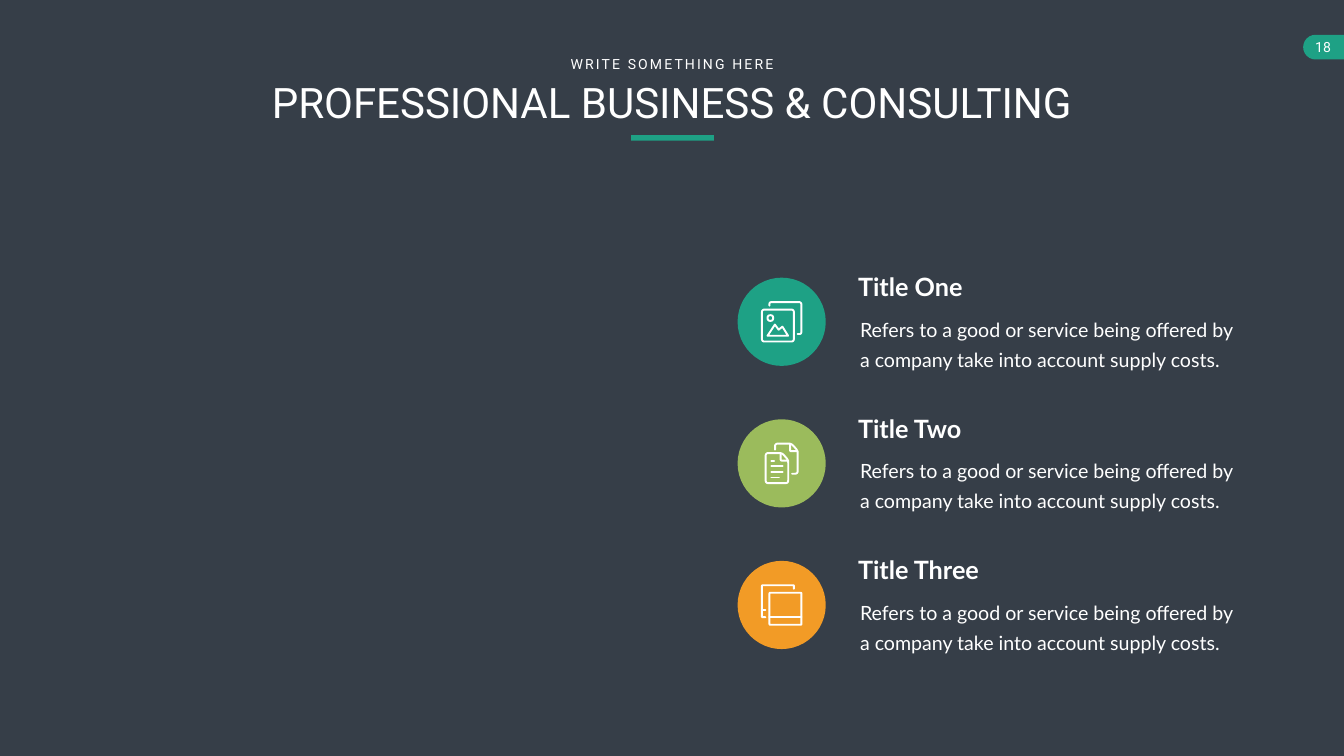
from dataclasses import dataclass

import pptx
import pptx.dml.color
import pptx.enum.shapes
import pptx.enum.text
import pptx.util
from lxml import etree

RGB = pptx.dml.color.RGBColor
SLATE = RGB(0x36, 0x3E, 0x48)
TEAL = RGB(0x1E, 0xA1, 0x85)
GREEN = RGB(0x9B, 0xBB, 0x5C)
ORANGE = RGB(0xF2, 0x9B, 0x26)
WHITE = RGB(0xFF, 0xFF, 0xFF)

SHAPE = pptx.enum.shapes.MSO_SHAPE
ALIGN = pptx.enum.text.PP_ALIGN
WIDTH, HEIGHT = pptx.util.Inches(26.66), pptx.util.Inches(15)
ROW_TOP, ROW_PITCH = 36.73, 18.73
ICON_UNIT = 0.14  # percent of the slide width
BODY = "Refers to a good or service being offered by a company take into account supply costs."


@dataclass(frozen=True)
class Box:
    """Left and width in percent of slide width, top and height in percent of its height."""
    left: float
    top: float
    width: float
    height: float

    def emu(self) -> tuple[int, int, int, int]:
        return (int(self.left * WIDTH / 100), int(self.top * HEIGHT / 100),
                int(self.width * WIDTH / 100), int(self.height * HEIGHT / 100))


@dataclass(frozen=True)
class Stroke:
    """A line through icon grid points, with corners rounded by radius."""
    points: tuple[tuple[float, float], ...]
    closed: bool = False
    radius: float = 0


@dataclass(frozen=True)
class Icon:
    width: float
    height: float
    strokes: tuple[Stroke, ...]


@dataclass(frozen=True)
class Item:
    title: str
    color: RGB
    icon: Icon


def rectangle(x1: float, y1: float, x2: float, y2: float, radius: float) -> Stroke:
    return Stroke(((x1, y1), (x2, y1), (x2, y2), (x1, y2)), True, radius)


def bar(x1: float, x2: float, y: float) -> Stroke:
    return Stroke(((x1, y), (x2, y)))


PICTURES = Icon(22, 22, (
    Stroke(((4.5, 2.4), (4.5, 0.5), (21.5, 0.5), (21.5, 17.5), (19.5, 17.5)), radius=1.5),
    rectangle(0.5, 4.5, 17.5, 21.5, 1.5),
    rectangle(3.5, 7.5, 6.5, 10.5, 1.5),
    Stroke(((3.5, 18.4), (7.4, 12.5), (9.4, 15.2), (11.4, 13.6), (14.4, 18.4)), True),
))
DOCUMENTS = Icon(18, 22, (
    Stroke(((0.5, 5.5), (9.2, 5.5), (12.5, 9.2), (12.5, 21.5), (0.5, 21.5)), True, 1.5),
    Stroke(((8.5, 5.5), (8.5, 9.5), (12.5, 9.5)), radius=0.5),
    Stroke(((5.5, 3.7), (5.5, 0.5), (14.2, 0.5), (17.5, 4.2), (17.5, 16.5), (14.5, 16.5)),
           radius=1.5),
    Stroke(((13.5, 0.5), (13.5, 4.5), (17.5, 4.5)), radius=0.5),
    bar(3.5, 5, 9.5), bar(3.5, 9.5, 12.5), bar(3.5, 9.5, 15.5), bar(3.5, 7.5, 18.5),
))
WINDOWS = Icon(22, 22, (
    Stroke(((2.4, 17.5), (0.5, 17.5), (0.5, 0.5), (17.5, 0.5), (17.5, 2.4)), radius=0.5),
    bar(0.5, 2.4, 13.5),
    rectangle(4.5, 4.5, 21.5, 21.5, 0.5),
    bar(4.5, 21.5, 17.5),
))
ITEMS = (Item("Title One", TEAL, PICTURES),
         Item("Title Two", GREEN, DOCUMENTS),
         Item("Title Three", ORANGE, WINDOWS))


def add_filled(slide, kind, box: Box, color: RGB, rotation: float = 0):
    sp = slide.shapes.add_shape(kind, *box.emu())
    sp.shadow.inherit = False
    sp.fill.solid()
    sp.fill.fore_color.rgb = color
    sp.line.fill.background()
    sp.rotation = rotation
    return sp


def add_text(slide, text: str, box: Box, *, size: float, font: str, bold: bool = False,
             align=ALIGN.LEFT, wrap: bool = True, inset: float = 0.1,
             line_pt: float = 0, tracking: float = 0):
    sp = slide.shapes.add_textbox(*box.emu())
    tf = sp.text_frame
    tf.word_wrap = wrap
    tf.margin_left = tf.margin_right = pptx.util.Inches(inset)
    tf.margin_top = tf.margin_bottom = pptx.util.Inches(inset / 2)
    p = tf.paragraphs[0]
    p.alignment = align
    if line_pt:
        p.line_spacing = pptx.util.Pt(line_pt)
    r = p.add_run()
    r.text = text
    r.font.size = pptx.util.Pt(size)
    r.font.name = font
    r.font.bold = bold
    r.font.color.rgb = WHITE
    if tracking:
        r._r.get_or_add_rPr().set("spc", str(int(tracking * 100)))
    return sp


def rounded(stroke: Stroke, steps: int = 6) -> list[tuple[float, float]]:
    """Replace each corner by points on a quadratic curve."""
    pts = stroke.points
    out = []
    for i, (x, y) in enumerate(pts):
        is_end = not stroke.closed and i in (0, len(pts) - 1)
        if is_end or not stroke.radius:
            out.append((x, y))
            continue
        ends = []
        for nx, ny in (pts[i - 1], pts[(i + 1) % len(pts)]):
            length = ((nx - x) ** 2 + (ny - y) ** 2) ** 0.5
            share = min(stroke.radius / length, 0.5)
            ends.append((x + (nx - x) * share, y + (ny - y) * share))
        (ax, ay), (bx, by) = ends
        for t in (k / steps for k in range(steps + 1)):
            a, c, b = (1 - t) ** 2, 2 * t * (1 - t), t * t
            out.append((a * ax + c * x + b * bx, a * ay + c * y + b * by))
    return out


def add_icon(slide, icon: Icon, center_x: float, center_y: float):
    """Draw all strokes of an icon as one outline centred on a point in EMU."""
    unit = ICON_UNIT * WIDTH / 100
    left, top = center_x - icon.width * unit / 2, center_y - icon.height * unit / 2
    builder = None
    for stroke in icon.strokes:
        first, *rest = [(left + x * unit, top + y * unit) for x, y in rounded(stroke)]
        if builder is None:
            builder = slide.shapes.build_freeform(*first)
        else:
            builder.move_to(*first)
        builder.add_line_segments(rest, close=stroke.closed)
    sp = builder.convert_to_shape()
    sp.shadow.inherit = False
    sp.fill.background()
    sp.line.color.rgb = WHITE
    sp.line.width = pptx.util.Pt(2.75)
    ln = sp.line._get_or_add_ln()
    ln.set("cap", "rnd")
    etree.SubElement(ln, pptx.oxml.ns.qn("a:round"))


def add_item(slide, item: Item, top: float):
    sp = add_filled(slide, SHAPE.OVAL, Box(54.88, top, 6.56, 11.67), item.color)
    add_icon(slide, item.icon, sp.left + sp.width / 2, sp.top + sp.height / 2)
    add_text(slide, item.title, Box(63.47, top - 1.13, 14.89, 4.73),
             size=36, font="Lato", bold=True)
    add_text(slide, BODY, Box(63.09, top + 3.6, 29.67, 9.2),
             size=28, font="Lato", inset=0.24, line_pt=43)


def main():
    prs = pptx.Presentation()
    prs.slide_width, prs.slide_height = WIDTH, HEIGHT
    slide = prs.slides.add_slide(prs.slide_layouts[6])
    slide.background.fill.solid()
    slide.background.fill.fore_color.rgb = SLATE

    add_filled(slide, SHAPE.FLOWCHART_DELAY, Box(96.96, 4.6, 1.84, 3.27), TEAL, rotation=180)
    add_filled(slide, SHAPE.RECTANGLE, Box(98.8, 4.6, 1.2, 3.27), TEAL)
    add_text(slide, "18", Box(96.74, 4.47, 3.41, 3.6), size=20, font="Roboto",
             align=ALIGN.CENTER, wrap=False, inset=0.2)

    add_text(slide, "PROFESSIONAL BUSINESS & CONSULTING", Box(15.83, 9.8, 68.34, 7.4),
             size=60, font="Roboto", align=ALIGN.CENTER)
    add_text(slide, "WRITE SOMETHING HERE", Box(41.84, 7, 16.32, 2.93), size=20,
             font="Roboto", align=ALIGN.CENTER, wrap=False, tracking=3)
    add_filled(slide, SHAPE.RECTANGLE, Box(46.96, 17.87, 6.15, 0.73), TEAL)

    for row, item in enumerate(ITEMS):
        add_item(slide, item, ROW_TOP + row * ROW_PITCH)
    prs.save("out.pptx")


if __name__ == "__main__":
    main()
